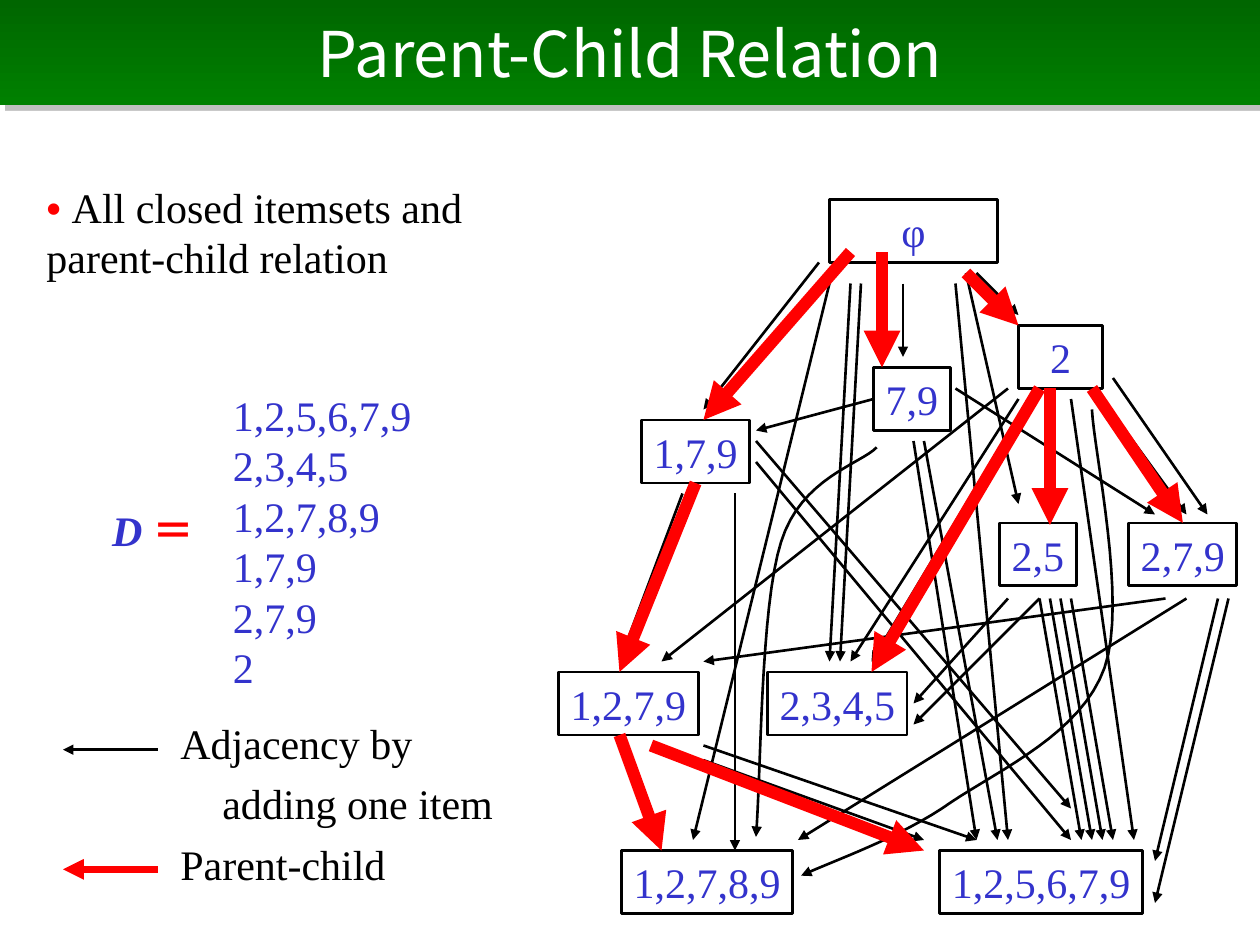
"""Build the Parent-Child Relation slide: a lattice of closed itemsets with its legend."""
import lxml.etree
import pptx
import pptx.dml.color
import pptx.enum.shapes
import pptx.enum.text
import pptx.oxml.ns
import pptx.util
from dataclasses import dataclass


@dataclass(frozen=True)
class Theme:
    body: str = "Times New Roman"
    heading: str = "Noto Sans CJK JP"
    ink: str = "000000"
    paper: str = "FFFFFF"
    item: str = "3333CC"
    accent: str = "FF0000"
    band_top: str = "006600"
    band_bottom: str = "008000"
    shade: str = "808080"
    text_size: int = 24
    title_size: int = 36
    thin: float = 1.5
    medium: float = 4
    thick: float = 7


THEME = Theme()
COLUMNS, ROWS = 120, 90
CELL = 1 / 12

TITLE = "Parent-Child Relation"
TOPIC = "All closed itemsets and parent-child relation"
DATABASE = ["1,2,5,6,7,9", "2,3,4,5", "1,2,7,8,9", "1,7,9", "2,7,9", "2"]
LEGEND = [("Adjacency by", 0), ("adding one item", 4), ("Parent-child", 0)]

ITEMSETS = [
    ("φ", 79, 19, 16), ("1,7,9", 61.1, 40, None), ("2,7,9", 107.5, 49.8, None),
    ("1,2,7,9", 53.2, 64, None), ("7,9", 83.2, 35, None), ("2,5", 95.2, 49.8, None),
    ("2", 97, 31, 8), ("2,3,4,5", 73.1, 64, None), ("1,2,7,8,9", 59.2, 81, None),
    ("1,2,5,6,7,9", 89.5, 81, None),
]
ADJACENCIES = [
    (78, 25, 67, 39), (81, 27, 79, 63), (93, 26, 97, 30), (84, 27, 84, 34),
    (100, 39, 100, 49), (98, 38, 83, 63), (65, 47, 59, 63), (82, 27, 80, 63),
    (92, 26, 97, 48), (105, 38, 113, 49), (91, 27, 96, 80), (79, 27, 66, 80),
    (72, 42, 102, 77), (106, 36, 115, 49), (96, 37, 63, 63), (86, 27, 86, 34),
    (91, 37, 110, 49), (60, 72, 63, 80), (67, 72.4, 88, 80), (67, 71, 93, 80),
    (97, 38, 81, 63), (72, 44, 102, 80), (83, 38, 72, 41), (102, 38, 108, 80),
    (87, 42, 93, 80), (88, 42, 95, 80), (70, 47, 70, 81), (96, 57, 87, 67),
    (99, 57, 87, 69), (111, 57, 67, 63), (101, 57, 105, 80), (102, 57, 106, 80),
    (100, 57, 104, 80), (99, 57, 103, 80), (117, 57, 110, 86), (116, 57, 110, 82),
    (113, 57, 76, 80),
]
CURVED_ADJACENCIES = [
    [(104, 39), (104.2, 43.1), (107.4, 57.4), (105.2, 63.6),
     (103, 69.8), (95.4, 73.2), (90.6, 76.4), (85.8, 79.8), (79.3, 82), (76.3, 83.4)],
    [(83.5, 42.6), (82, 44.2), (76.3, 45.5), (74.4, 51.6),
     (72.4, 57.8), (72.5, 73.9), (72, 79.7)],
]
PARENT_CHILD = [
    (81, 24, 67, 40), (92, 26, 97, 31), (84, 24, 84, 35), (100, 37, 100, 50),
    (99, 37, 83, 64), (66, 46, 59, 64), (104, 37, 113, 50), (59, 70, 63, 81),
    (62, 71, 88, 81),
]

deck = pptx.Presentation()
deck.slide_width = pptx.util.Inches(COLUMNS * CELL)
deck.slide_height = pptx.util.Inches(ROWS * CELL)
slide = deck.slides.add_slide(deck.slide_layouts[6])


def cells(*counts):
    return [pptx.util.Inches(count * CELL) for count in counts]


def rgb(color):
    return pptx.dml.color.RGBColor.from_string(color)


def text(frame, paragraphs, *, font=THEME.body, size=THEME.text_size, wrap=True,
         align="LEFT", anchor="TOP", gap=0):
    """Fill a frame with (indent in cells, runs) paragraphs of (wording, colour, bold, italic) runs."""
    frame.word_wrap = wrap
    frame.vertical_anchor = pptx.enum.text.MSO_ANCHOR[anchor]
    for index, (indent, runs) in enumerate(paragraphs):
        paragraph = frame.add_paragraph() if index else frame.paragraphs[0]
        paragraph.alignment = pptx.enum.text.PP_ALIGN[align]
        if index:
            paragraph.space_before = pptx.util.Pt(gap)
        if indent:
            paragraph._p.get_or_add_pPr().set("marL", str(cells(indent)[0]))
        for wording, color, bold, italic in runs:
            run = paragraph.add_run()
            run.text = wording
            run.font.name, run.font.size = font, pptx.util.Pt(size)
            run.font.bold, run.font.italic = bold, italic
            run.font.color.rgb = rgb(color)


def plain(wording, color, indent=0):
    return indent, [(wording, color, False, False)]


def block(place, paragraphs, **formats):
    text(slide.shapes.add_textbox(*cells(*place)).text_frame, paragraphs, **formats)


def rectangle(*place):
    shape = slide.shapes.add_shape(pptx.enum.shapes.MSO_SHAPE.RECTANGLE, *cells(*place))
    shape.shadow.inherit = False
    return shape


def style_arrow(link, color, width):
    link.line.color.rgb = rgb(color)
    link.line.width = pptx.util.Pt(width)
    lxml.etree.SubElement(link.line._get_or_add_ln(), pptx.oxml.ns.qn("a:tailEnd"), type="triangle")


def arrow(ends, color, width):
    link = slide.shapes.add_connector(pptx.enum.shapes.MSO_CONNECTOR.STRAIGHT, *cells(*ends))
    style_arrow(link, color, width)
    lxml.etree.SubElement(link._element.spPr, pptx.oxml.ns.qn("a:effectLst"))
    return link


def curved_arrow(controls, steps=16):
    points = [cells(*controls[0])]
    for first in range(0, len(controls) - 1, 3):
        a, b, c, d = controls[first:first + 4]
        for step in range(1, steps + 1):
            t = step / steps
            s = 1 - t
            points.append(cells(*(s**3 * a[i] + 3 * s * s * t * b[i] + 3 * s * t * t * c[i] + t**3 * d[i]
                                  for i in (0, 1))))
    outline = slide.shapes.build_freeform(*points[0])
    outline.add_line_segments(points[1:], close=False)
    curve = outline.convert_to_shape()
    curve.shadow.inherit = False
    curve.fill.background()
    style_arrow(curve, THEME.ink, THEME.thin)


def itemset(label, left, top, width):
    node = rectangle(left, top, width or 1.3 + 3 * len(label.split(",")), 6)
    node.fill.solid()
    node.fill.fore_color.rgb = rgb(THEME.paper)
    node.line.color.rgb = rgb(THEME.ink)
    node.line.width = pptx.util.Pt(THEME.thin)
    text(node.text_frame, [plain(label, THEME.item)], align="CENTER", wrap=False)
    return node


def join(link, ends, nodes):
    near = cells(0.5)[0]
    for connect, (x, y) in ((link.begin_connect, cells(*ends[:2])), (link.end_connect, cells(*ends[2:]))):
        for node in nodes:
            middle, center = node.left + node.width // 2, node.top + node.height // 2
            sides = [(middle, node.top), (node.left, center),
                     (middle, node.top + node.height), (node.left + node.width, center)]
            for side, (side_x, side_y) in enumerate(sides):
                if abs(side_x - x) < near and abs(side_y - y) < near:
                    connect(node, side)


def title_band():
    band = rectangle(0, 0, COLUMNS, 10)
    band.fill.gradient()
    band.fill.gradient_angle = 270
    for stop, color in zip(band.fill.gradient_stops, (THEME.band_top, THEME.band_bottom)):
        stop.color.rgb = rgb(color)
    band.line.fill.background()
    qn = pptx.oxml.ns.qn
    shadow = lxml.etree.SubElement(band._element.spPr.find(qn("a:effectLst")), qn("a:outerShdw"),
                                   dist=str(pptx.util.Pt(4.2)), dir="2700000")
    shade = lxml.etree.SubElement(shadow, qn("a:srgbClr"), val=THEME.shade)
    lxml.etree.SubElement(shade, qn("a:alpha"), val="50000")
    text(band.text_frame, [plain(TITLE, THEME.paper)], font=THEME.heading,
         size=THEME.title_size, align="CENTER", anchor="MIDDLE")


def main():
    links = [(arrow(ends, THEME.ink, THEME.thin), ends) for ends in ADJACENCIES]
    for controls in CURVED_ADJACENCIES:
        curved_arrow(controls)
    nodes = [itemset(*entry) for entry in ITEMSETS]
    title_band()
    block((3.25, 16.7, 46.3, 15),
          [(0, [("• ", THEME.accent, True, False), (TOPIC, THEME.ink, False, False)])])
    links += [(arrow(ends, THEME.accent, THEME.thick), ends) for ends in PARENT_CHILD]
    for link, ends in links:
        join(link, ends, nodes)

    block((16, 67.7, 36, 14), [plain(line, THEME.ink, indent) for line, indent in LEGEND], gap=6)
    arrow((15, 71.4, 6, 71.4), THEME.ink, THEME.thin)
    arrow((15, 82.8, 6, 82.8), THEME.accent, THEME.medium)
    block((21, 36.5, 21, 30), [plain(line, THEME.item) for line in DATABASE])
    block((9.5, 47.5, 13, 6),
          [(0, [("D ", THEME.item, True, True), ("＝", THEME.accent, True, False)])])
    deck.save("out.pptx")


if __name__ == "__main__":
    main()
